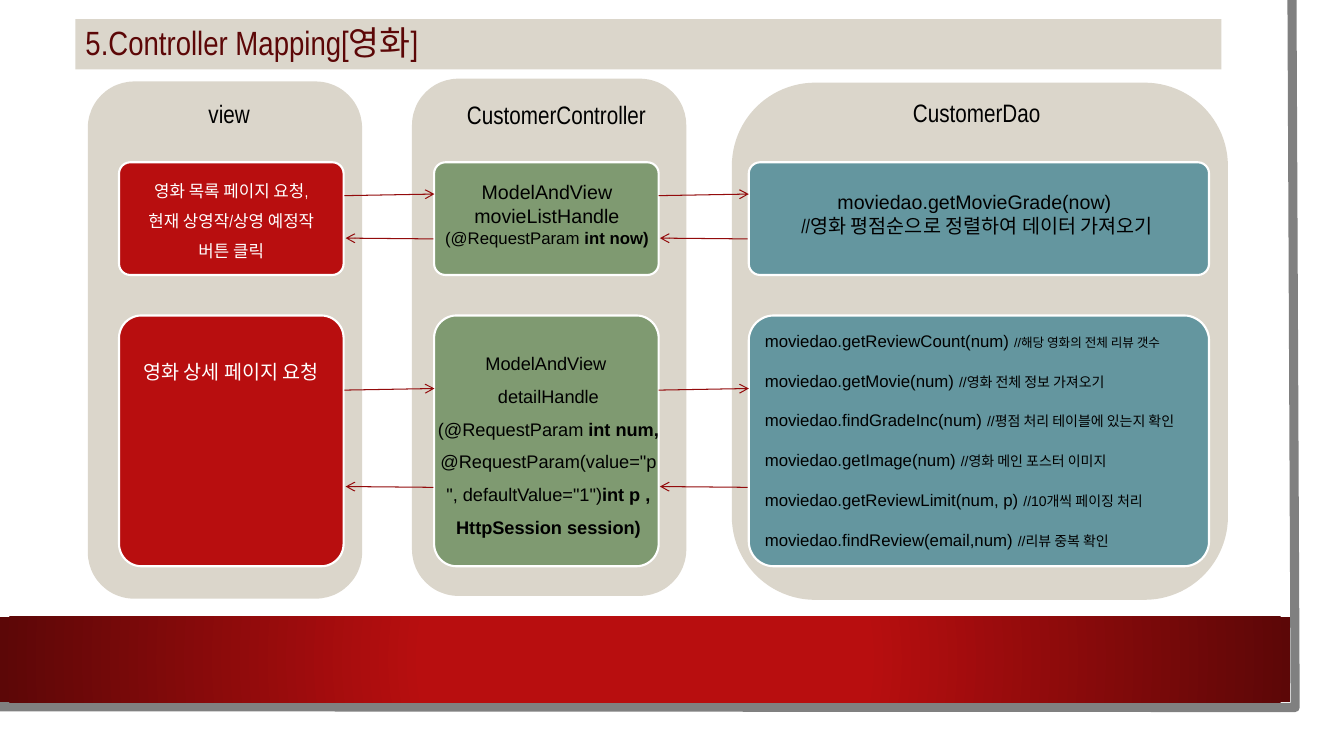
"""Draw the controller mapping slide for the movie pages."""
from dataclasses import dataclass

from lxml.etree import SubElement as Sub
from pptx import Presentation
from pptx.dml.color import RGBColor as Rgb
from pptx.enum.shapes import MSO_CONNECTOR as Link, MSO_SHAPE as Kind
from pptx.enum.text import MSO_ANCHOR as Anchor, MSO_AUTO_SIZE as Fit, PP_ALIGN as Align
from pptx.oxml.ns import qn
from pptx.util import Cm, Pt

NARROW, SANS = "Arial Narrow", "Arial"
RED, GREEN, TEAL = "B80E0F", "7F9A71", "64969F"
SAND, WINE, WHITE, BLACK = "DBD6CB", "5C0707", "FFFFFF", "000000"


@dataclass
class Box:
    x: float
    y: float
    w: float
    h: float


@dataclass
class Span:
    text: str
    size: float
    font: str = SANS
    bold: bool = False


@dataclass
class Panel:
    box: Box
    name: str
    label: Box


@dataclass
class Row:
    y: float
    h: float
    out: float
    back: float


PANELS = [
    Panel(Box(2.24, 2.08, 6.86, 12.98), "view", Box(3.96, 2.36, 3.63, 1.02)),
    Panel(Box(10.41, 2.01, 6.86, 12.98), "CustomerController", Box(11.13, 2.39, 5.79, 1.02)),
    Panel(Box(18.47, 2.11, 12.45, 12.98), "CustomerDao", Box(22.56, 2.34, 4.11, 1.02)),
]
ROWS = [Row(4.09, 2.84, 4.93, 6.02), Row(7.95, 6.32, 9.83, 12.28)]
CARDS = [(3.0, 5.66, RED), (10.94, 5.66, GREEN), (18.87, 11.6, TEAL)]
GAPS = [8.68, 16.6]
REACH = 2.27
TILT = 0.04

LIST = [[Span("영화 목록 페이지 요청,", 12, NARROW)],
        [Span("현재 상영작/상영 예정작 버튼 클릭", 12, NARROW)]]
DETAIL = [[Span("영화 상세 페이지 요청", 14, NARROW)]]
NOW = [[Span("ModelAndView movieListHandle", 14)],
       [Span("(@RequestParam ", 12), Span("int now)", 12, bold=True)]]
HANDLE = [
    [Span("ModelAndView ", 13)],
    [Span("detailHandle", 13)],
    [Span("(@RequestParam ", 13), Span("int num, ", 13, bold=True)],
    [Span('@RequestParam(value="p", defaultValue="1")', 13), Span("int p ,", 13, bold=True)],
    [Span("HttpSession session)", 13, bold=True)],
]
GRADE = [[Span("moviedao.getMovieGrade(now) ", 14)],
         [Span("//영화 평점순으로 정렬하여 데이터 가져오기", 14, NARROW)]]
CALLS = [
    [Span(call + " ", 12), Span(note, size)]
    for call, note, size in [
        ("moviedao.getReviewCount(num)", "//해당 영화의 전체 리뷰 갯수", 9),
        ("moviedao.getMovie(num)", "//영화 전체 정보 가져오기", 10),
        ("moviedao.findGradeInc(num)", "//평점 처리 테이블에 있는지 확인", 10),
        ("moviedao.getImage(num)", "//영화 메인 포스터 이미지", 10),
        ("moviedao.getReviewLimit(num, p)", "//10개씩 페이징 처리", 10),
        ("moviedao.findReview(email,num)", "//리뷰 중복 확인", 10),
    ]
]


def paint(color, code: str) -> None:
    color.rgb = Rgb.from_string(code)


def fill(shape, code: str) -> None:
    shape.fill.solid()
    paint(shape.fill.fore_color, code)


def area(box: Box) -> tuple:
    return Cm(box.x), Cm(box.y), Cm(box.w), Cm(box.h)


def place(shape, box: Box) -> None:
    shape.left, shape.top, shape.width, shape.height = area(box)


def write(shape, paras: list, code: str = BLACK, align=Align.CENTER,
          pitch: float = 1, gap: float = 0, anchor=Anchor.TOP) -> None:
    frame = shape.text_frame
    frame.word_wrap, frame.auto_size = True, Fit.NONE
    frame.vertical_anchor = anchor
    for i, spans in enumerate(paras):
        para = frame.add_paragraph() if i else frame.paragraphs[0]
        para.alignment, para.line_spacing = align, pitch
        para.space_before = Pt(gap if i else 0)
        for span in spans:
            run = para.add_run()
            run.text = span.text
            run.font.size, run.font.name, run.font.bold = Pt(span.size), span.font, span.bold
            paint(run.font.color, code)


def note(slide, box: Box, paras: list, pitch: float = 1) -> None:
    write(slide.shapes.add_textbox(*area(box)), paras, pitch=pitch)


def block(slide, box: Box, code: str, edge: str, kind=Kind.ROUNDED_RECTANGLE):
    shape = slide.shapes.add_shape(kind, *area(box))
    shape.shadow.inherit = False
    fill(shape, code)
    paint(shape.line.color, edge)
    shape.line.width = Pt(1.5)
    return shape


def arrow(slide, x1: float, y1: float, x2: float, y2: float) -> None:
    line = slide.shapes.add_connector(Link.STRAIGHT, Cm(x1), Cm(y1), Cm(x2), Cm(y2))
    paint(line.line.color, "930B0C")
    line.line.width = Pt(0.75)
    props = line._element.spPr
    Sub(props.find(qn("a:ln")), qn("a:tailEnd"), type="arrow")
    Sub(props, qn("a:effectLst"))


def frame(slide) -> None:
    pen = slide.shapes.build_freeform(Cm(32.56), Cm(0))
    pen.add_line_segments([(Cm(32.64), Cm(17.83)), (Cm(0), Cm(17.81))], close=False)
    edge = pen.convert_to_shape()
    edge.shadow.inherit = False
    edge.fill.background()
    paint(edge.line.color, "808080")
    edge.line.width = Pt(6.5)

    band = block(slide, Box(0, 15.54, 32.51, 2.16), RED, RED, Kind.RECTANGLE)
    band.line.fill.background()
    band.fill.gradient()
    for stop, spot, code in zip(band.fill.gradient_stops, (0.34, 1), (RED, WINE)):
        stop.position = spot
        paint(stop.color, code)
    grad = band._element.spPr.find(qn("a:gradFill"))
    grad.remove(grad.find(qn("a:lin")))
    ring = Sub(grad, qn("a:path"), path="circle")
    Sub(ring, qn("a:fillToRect"), l="50000", t="50000", r="50000", b="50000")


def calls(slide, body) -> None:
    slide.shapes._spTree.append(body._element)
    place(body, Box(19.02, 8.2, 12.67, 6.5))
    write(body, CALLS, align=Align.LEFT, gap=14)
    for para in body.text_frame.paragraphs:
        props = para._p.get_or_add_pPr()
        props.set("marL", "0")
        props.set("indent", "0")
        Sub(props, qn("a:buNone"))


def main() -> None:
    deck = Presentation()
    deck.slide_width, deck.slide_height = Cm(33.87), Cm(19.05)
    slide = deck.slides.add_slide(deck.slide_layouts[1])
    title, body = slide.placeholders
    frame(slide)
    place(title, Box(1.9, 0.48, 28.88, 1.27))
    fill(title, SAND)
    write(title, [[Span("5.Controller Mapping[영화]", 24, NARROW)]], WINE,
          Align.LEFT, 0.9, anchor=Anchor.MIDDLE)
    for panel in PANELS:
        block(slide, panel.box, SAND, SAND)
        note(slide, panel.label, [[Span(panel.name, 18, NARROW)]])
    views = []
    for row in ROWS:
        for x, w, code in CARDS:
            card = block(slide, Box(x, row.y, w, row.h), code, WHITE)
            card.adjustments[0] = 0.1
            if code == RED:
                views.append(card)
        for x in GAPS:
            arrow(slide, x, row.out, x + REACH, row.out - TILT)
            arrow(slide, x + REACH - 0.03, row.back, x + 0.03, row.back - 0.02)
    write(views[0], LIST, WHITE, pitch=1.5)
    write(views[1], DETAIL, WHITE)
    views[1].text_frame.margin_top = Cm(0.95)
    note(slide, Box(10.8, 4.42, 5.97, 1.96), NOW)
    note(slide, Box(10.77, 8.48, 6.1, 5.26), HANDLE, 1.5)
    note(slide, Box(19.41, 4.67, 10.44, 1.45), GRADE)
    calls(slide, body)
    deck.save("out.pptx")


if __name__ == "__main__":
    main()
